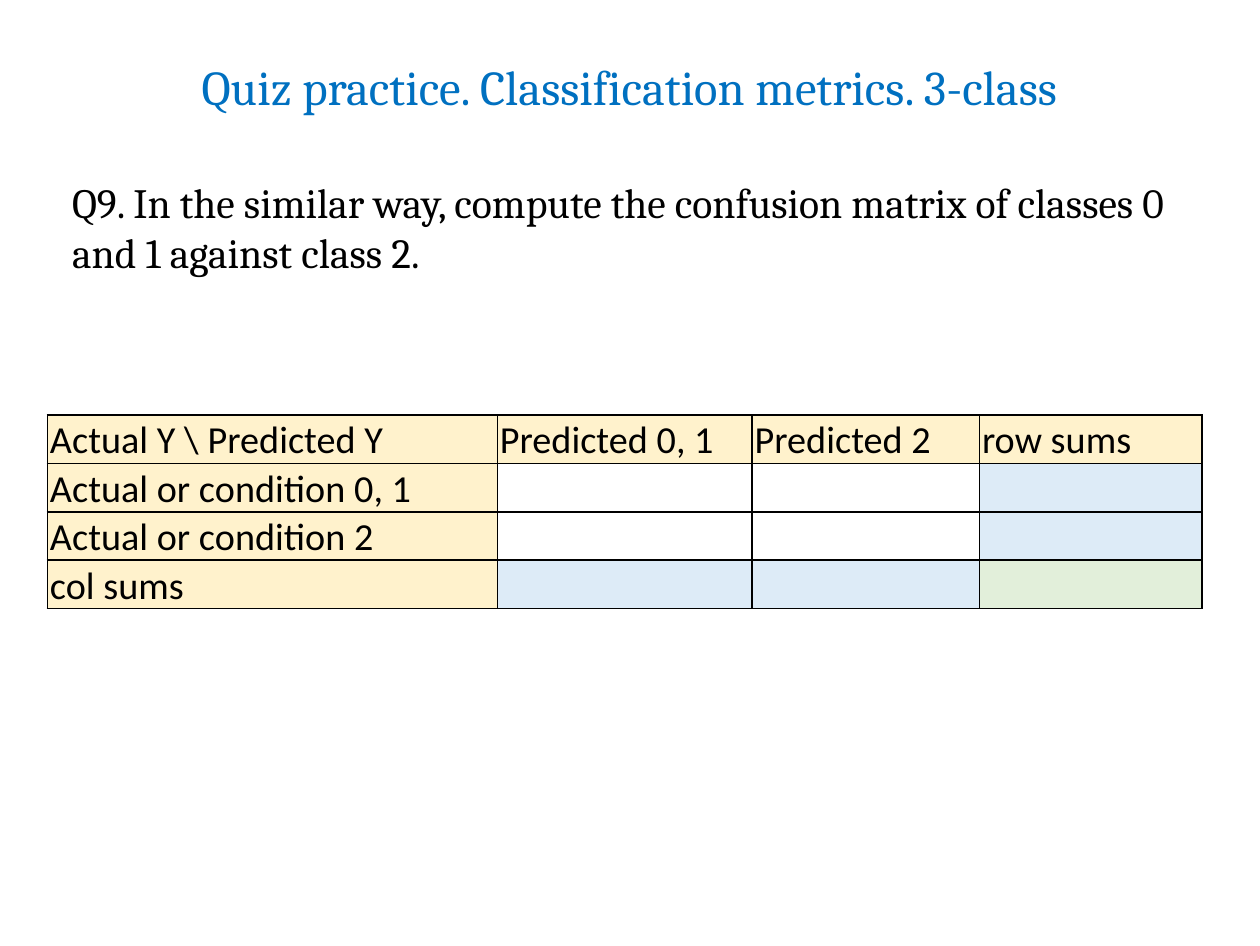
from lxml import etree
from pptx import Presentation
from pptx.dml.color import RGBColor
from pptx.enum.text import MSO_ANCHOR, PP_ALIGN
from pptx.oxml.ns import qn
from pptx.util import Inches, Pt

BLACK = RGBColor(0x00, 0x00, 0x00)
WHITE = RGBColor(0xFF, 0xFF, 0xFF)
TITLE_BLUE = RGBColor(0x00, 0x70, 0xC0)
LABEL_YELLOW = RGBColor(0xFF, 0xF2, 0xCC)
SUM_BLUE = RGBColor(0xDD, 0xEB, 0xF7)
TOTAL_GREEN = RGBColor(0xE2, 0xEF, 0xDA)
LEFT, CENTER = PP_ALIGN.LEFT, PP_ALIGN.CENTER
BOTTOM = MSO_ANCHOR.BOTTOM

POINTS_PER_INCH = 72
SLIDE_WIDTH = 363 / POINTS_PER_INCH
SLIDE_HEIGHT = 272.5 / POINTS_PER_INCH
COLUMN_WIDTHS = [1.8, 1.02, 0.91, 0.89]
ROW_HEIGHT = 0.19
TABLE_FONT_SIZE = 11
MATRIX = [
    ["Actual Y \\ Predicted Y", "Predicted 0, 1", "Predicted 2", "row sums"],
    ["Actual or condition 0, 1", "", "", ""],
    ["Actual or condition 2", "", "", ""],
    ["col sums", "", "", ""],
]


def write_text(paragraph, text, font="Cambria", size=12, color=BLACK, align=LEFT):
    """Write one formatted run into a paragraph."""
    paragraph.alignment = align
    run = paragraph.add_run()
    run.text = text
    run.font.name = font
    run.font.size = Pt(size)
    run.font.color.rgb = color


def add_text(slide, text, left, top, width, height, inset=(0.1, 0.05), **text_format):
    """Add a wrapping text box with equal insets on opposite sides."""
    box = slide.shapes.add_textbox(Inches(left), Inches(top), Inches(width), Inches(height))
    frame = box.text_frame
    frame.word_wrap = True
    frame.margin_left = frame.margin_right = Inches(inset[0])
    frame.margin_top = frame.margin_bottom = Inches(inset[1])
    write_text(frame.paragraphs[0], text, **text_format)


def set_borders(cell):
    """Draw a thin black line on every side of a cell."""
    properties = cell._tc.get_or_add_tcPr()
    for position, side in enumerate(("a:lnL", "a:lnR", "a:lnT", "a:lnB")):
        line = etree.Element(qn(side), w=str(Pt(0.5)))
        fill = etree.SubElement(line, qn("a:solidFill"))
        etree.SubElement(fill, qn("a:srgbClr"), val=str(BLACK))
        properties.insert(position, line)


def cell_color(row, column):
    """Choose the fill from the role of a cell in the matrix."""
    last_row, last_column = len(MATRIX) - 1, len(COLUMN_WIDTHS) - 1
    if row == 0 or column == 0:
        return LABEL_YELLOW
    if row == last_row and column == last_column:
        return TOTAL_GREEN
    if row == last_row or column == last_column:
        return SUM_BLUE
    return WHITE


def fill_cell(cell, text, color):
    """Format a table cell and write its label, if any."""
    cell.fill.solid()
    cell.fill.fore_color.rgb = color
    cell.vertical_anchor = BOTTOM
    cell.margin_left = cell.margin_right = cell.margin_top = Inches(0.01)
    cell.margin_bottom = 0
    set_borders(cell)
    paragraph = cell.text_frame.paragraphs[0]
    if text:
        write_text(paragraph, text, font="Calibri", size=TABLE_FONT_SIZE)
    else:
        etree.SubElement(paragraph._p, qn("a:endParaRPr"), sz=str(TABLE_FONT_SIZE * 100))


def add_confusion_matrix(slide, left, top):
    """Add the confusion matrix with its row and column sums."""
    table = slide.shapes.add_table(
        len(MATRIX), len(COLUMN_WIDTHS), Inches(left), Inches(top),
        Inches(sum(COLUMN_WIDTHS)), Inches(ROW_HEIGHT * len(MATRIX)),
    ).table
    table.first_row = table.horz_banding = False
    for column, width in zip(table.columns, COLUMN_WIDTHS):
        column.width = Inches(width)
    for row, labels in enumerate(MATRIX):
        table.rows[row].height = Inches(ROW_HEIGHT)
        for column, label in enumerate(labels):
            fill_cell(table.cell(row, column), label, cell_color(row, column))


def main():
    """Build the quiz slide and save it."""
    presentation = Presentation()
    presentation.slide_width = Inches(SLIDE_WIDTH)
    presentation.slide_height = Inches(SLIDE_HEIGHT)
    slide = presentation.slides.add_slide(presentation.slide_layouts[6])
    add_text(slide, "Quiz practice. Classification metrics. 3-class", 0, 0.23, SLIDE_WIDTH, 0.24,
             inset=(0, 0), size=14, color=TITLE_BLUE, align=CENTER)
    add_text(slide, "Q9. In the similar way, compute the confusion matrix of classes 0 "
             "and 1 against class 2.", 0.19, 0.66, 4.7, 0.5)
    add_confusion_matrix(slide, 0.19, 1.66)
    presentation.save("out.pptx")


if __name__ == "__main__":
    main()
